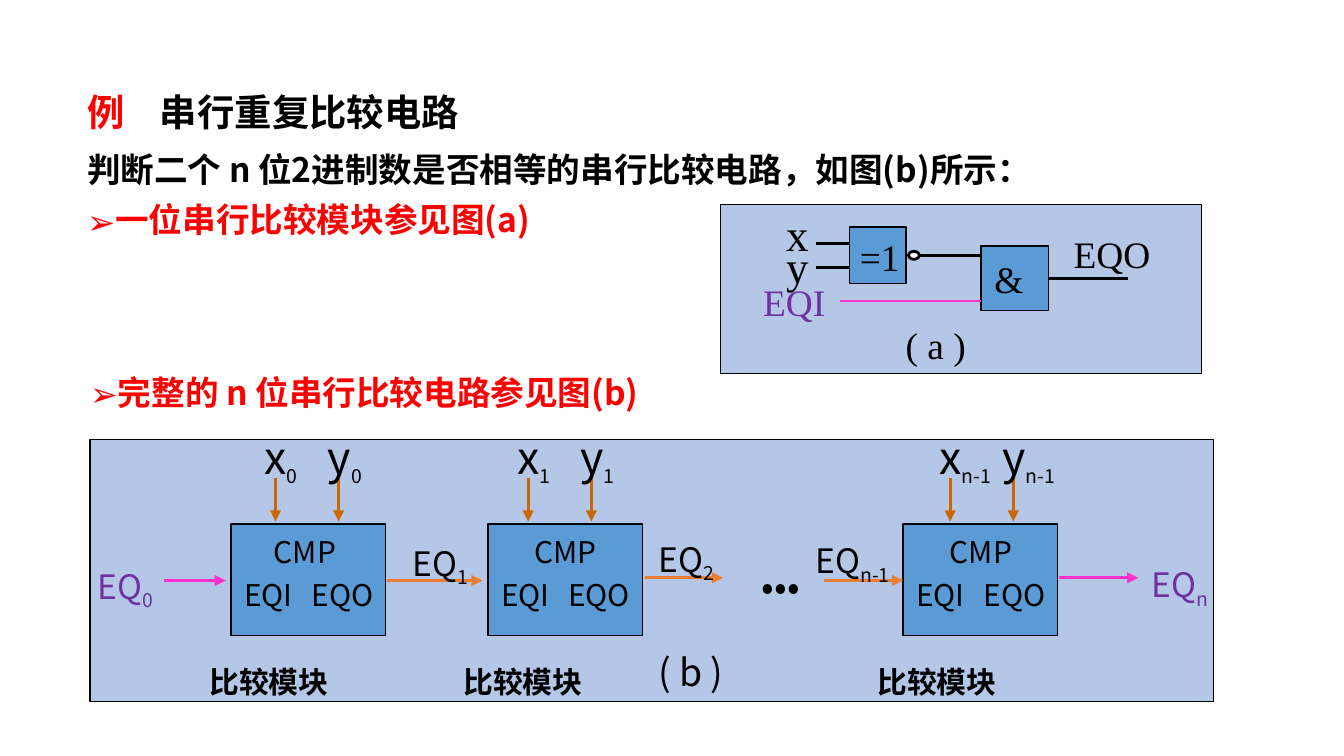
from lxml import etree
from pptx import Presentation
from pptx import util as u
from pptx.dml.color import RGBColor
from pptx.enum import shapes, text
from pptx.oxml.ns import qn

PX = 9144  # 100 px to the inch
SANS, SERIF = "Noto Sans CJK JP", "Times New Roman"
COLORS = {
    "black": "000000", "white": "FFFFFF", "red": "FF0000", "purple": "7030A0",
    "panel": "B4C7E7", "block": "5B9BD5", "pink": "FF33CC",
    "orange": "ED7D31", "brown": "CC6600",
}


def color(name):
    return RGBColor.from_string(COLORS[name])


class Deck:
    def __init__(self, width):
        self.prs = Presentation()
        self.prs.slide_width = width * PX
        self.prs.slide_height = width * PX * 9 // 16
        self.s = self.prs.slides.add_slide(self.prs.slide_layouts[5])

    def style(self, r, size, fill="black", font=SANS, bold=False):
        r.font.size, r.font.name, r.font.bold = u.Pt(size), font, bold
        r.font.color.rgb = color(fill)
        etree.SubElement(r.font._element, qn("a:ea"), typeface=font)

    def title(self, x, y, w, h, lead, rest, tab):
        sp = self.s.shapes.title
        sp.left, sp.top, sp.width, sp.height = (v * PX for v in (x, y, w, h))
        tf = sp.text_frame
        tf.word_wrap, tf.auto_size = True, text.MSO_AUTO_SIZE.NONE
        tf.vertical_anchor = text.MSO_ANCHOR.TOP
        p = tf.paragraphs[0]
        p.alignment, p.line_spacing = text.PP_ALIGN.LEFT, 0.9
        for words, fill in ((lead, "red"), ("\t" + rest, "black")):
            r = p.add_run()
            r.text = words
            self.style(r, 20, fill, bold=True)
        tabs = etree.SubElement(p._p.get_or_add_pPr(), qn("a:tabLst"))
        etree.SubElement(tabs, qn("a:tab"), pos=str(tab * PX), algn="l")

    def label(self, x, y, w, h, words, size, fill="black", font=SANS,
              bold=False, sub="", sub_size=18):
        sp = self.s.shapes.add_textbox(x * PX, y * PX, w * PX, h * PX)
        tf = sp.text_frame
        tf.word_wrap = True
        tf.text = words
        p = tf.paragraphs[0]
        self.style(p.runs[0], size, fill, font, bold)
        if sub:
            r = p.add_run()
            r.text = sub
            self.style(r, sub_size, fill, font, bold)
            r.font._element.set("baseline", "-25000")
        return tf

    def hang(self, p, indent):
        pPr = p._p.get_or_add_pPr()
        pPr.set("marL", str(indent * PX))
        pPr.set("indent", str(-indent * PX))

    def bullet(self, p):
        pPr = p._p.get_or_add_pPr()
        etree.SubElement(pPr, qn("a:buFont"), typeface=SANS)
        etree.SubElement(pPr, qn("a:buChar"), char="➢")

    def shape(self, x, y, w, h, fill, kind=shapes.MSO_SHAPE.RECTANGLE, line=0.75):
        sp = self.s.shapes.add_shape(kind, x * PX, y * PX, w * PX, h * PX)
        sp.shadow.inherit = False
        sp.fill.solid()
        sp.fill.fore_color.rgb = color(fill)
        sp.line.color.rgb = color("black")
        sp.line.width = u.Pt(line)

    def line(self, x1, y1, x2, y2, fill="black", arrow=False):
        c = self.s.shapes.add_connector(
            shapes.MSO_CONNECTOR.STRAIGHT, x1 * PX, y1 * PX, x2 * PX, y2 * PX)
        c.line.color.rgb = color(fill)
        c.line.width = u.Pt(1.5)
        if arrow:
            etree.SubElement(c.line._get_or_add_ln(), qn("a:tailEnd"), type="triangle")
        etree.SubElement(c._element.spPr, qn("a:effectLst"))

    def module(self, x, cmp_x, arrow_x, name_x, index):
        """Comparator block with its two inputs and its caption."""
        self.shape(x, 390, 115, 83, "block")
        self.label(cmp_x, 392, 83, 37, "CMP", 16)
        self.label(x + 50, 424, 73, 37, "EQO", 16)
        self.label(x, 424, 67, 37, "EQI", 16)
        for i, name in enumerate("xy"):
            ax = arrow_x + 47 * i
            self.line(ax, 356, ax, 388, "brown", arrow=True)
            self.label(ax - 18, 315, 83, 50, name, 24, sub=index)
        self.label(name_x, 489, 117, 37, "比较模块", 16, bold=True)


def main():
    d = Deck(1000)

    # Heading and explanation
    d.title(55, 65, 500, 59, "例", "串行重复比较电路", 54)
    tf = d.label(55, 109, 925, 84,
                 "判断二个 n 位2进制数是否相等的串行比较电路，如图(b)所示：", 18, bold=True)
    p = tf.add_paragraph()
    p.text = "一位串行比较模块参见图(a)"
    d.style(p.runs[0], 18, "red", bold=True)
    for p in tf.paragraphs:
        p.line_spacing, p.space_before = 0.9, u.Pt(7.5)
        d.hang(p, 19)
    d.bullet(tf.paragraphs[1])

    # Figure (a): one-bit module
    d.shape(536, 152, 358, 126, "panel")
    d.shape(632, 169, 42, 42, "block")
    d.shape(730, 183, 50, 48, "block")
    for x1, x2, y, fill in ((607, 632, 181, "black"), (607, 632, 199, "black"),
                            (682, 730, 190, "black"), (625, 730, 224, "pink"),
                            (780, 839, 207, "black")):
        d.line(x1, y, x2, y, fill)
    d.shape(676, 187, 8, 6, "white", shapes.MSO_SHAPE.OVAL, 1.5)
    for x, y, w, h, words, size, fill in (
            (664, 235, 83, 44, "( a )", 20, "black"),
            (630, 169, 58, 44, "=1", 20, "black"),
            (575, 149, 42, 50, "x", 24, "black"),
            (575, 173, 42, 50, "y", 24, "black"),
            (730, 186, 50, 44, "&", 20, "black"),
            (558, 203, 92, 44, "EQI", 20, "purple"),
            (789, 167, 92, 44, "EQO", 20, "black")):
        d.label(x, y, w, h, words, size, fill, SERIF)

    tf = d.label(57, 272, 667, 40, "完整的 n 位串行比较电路参见图(b)", 18, "red", bold=True)
    d.bullet(tf.paragraphs[0])

    # Figure (b): chain of modules
    d.shape(67, 327, 836, 195, "panel")
    d.label(480, 478, 83, 44, "( b )", 20)
    for x, cmp_x, arrow_x, name_x, index in ((172, 194, 205, 146, "0"),
                                             (363, 388, 393, 335, "1"),
                                             (672, 697, 707, 643, "n-1")):
        d.module(x, cmp_x, arrow_x, name_x, index)
    d.label(557, 414, 92, 44, "•••", 20)

    # Carry signals between the modules
    for x1, x2, y, fill in ((122, 168, 432, "pink"), (288, 359, 432, "orange"),
                            (480, 538, 430, "orange"), (613, 672, 432, "orange"),
                            (788, 847, 430, "pink")):
        d.line(x1, y, x2, y, fill, arrow=True)
    for x, y, w, index, fill in ((63, 416, 67, "0", "purple"), (297, 399, 67, "1", "black"),
                                 (480, 396, 67, "2", "black"), (597, 397, 83, "n-1", "black"),
                                 (847, 415, 67, "n", "purple")):
        d.label(x, y, w, 40, "EQ", 18, fill, sub=index)

    d.prs.save("out.pptx")


if __name__ == "__main__":
    main()
